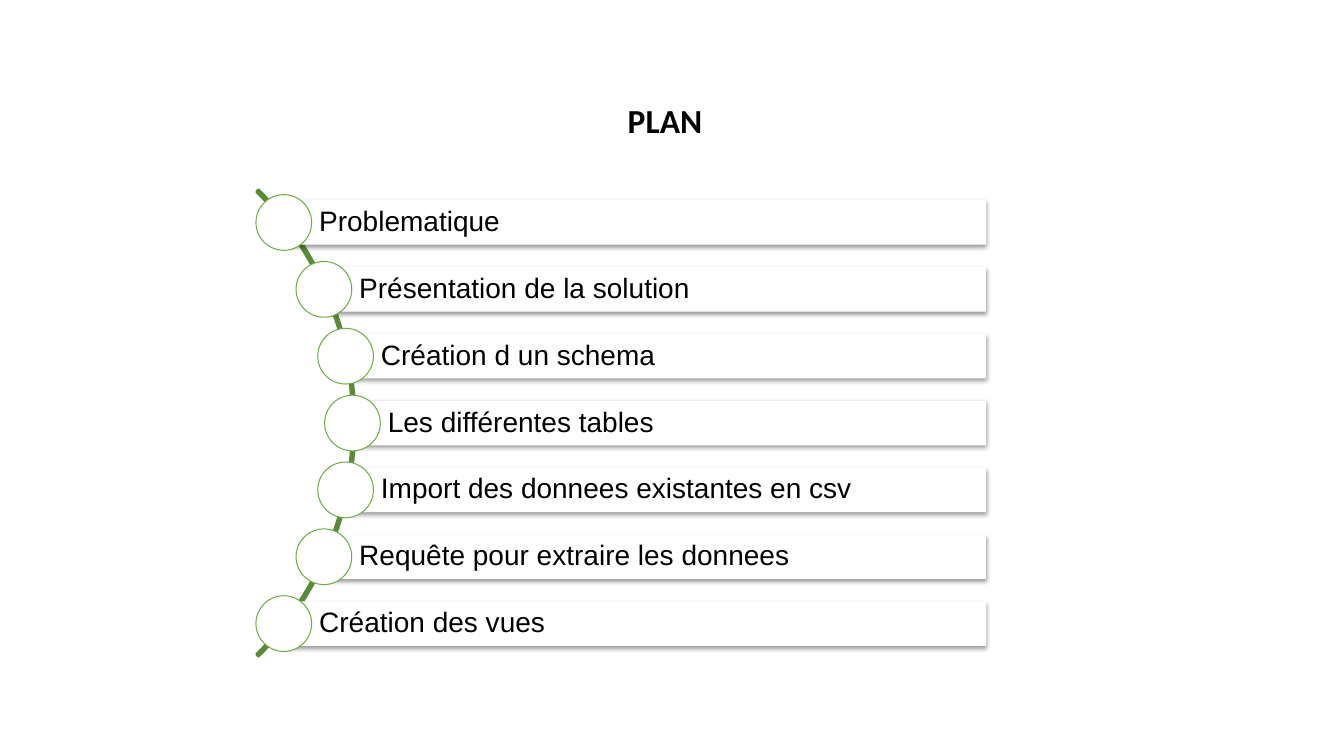
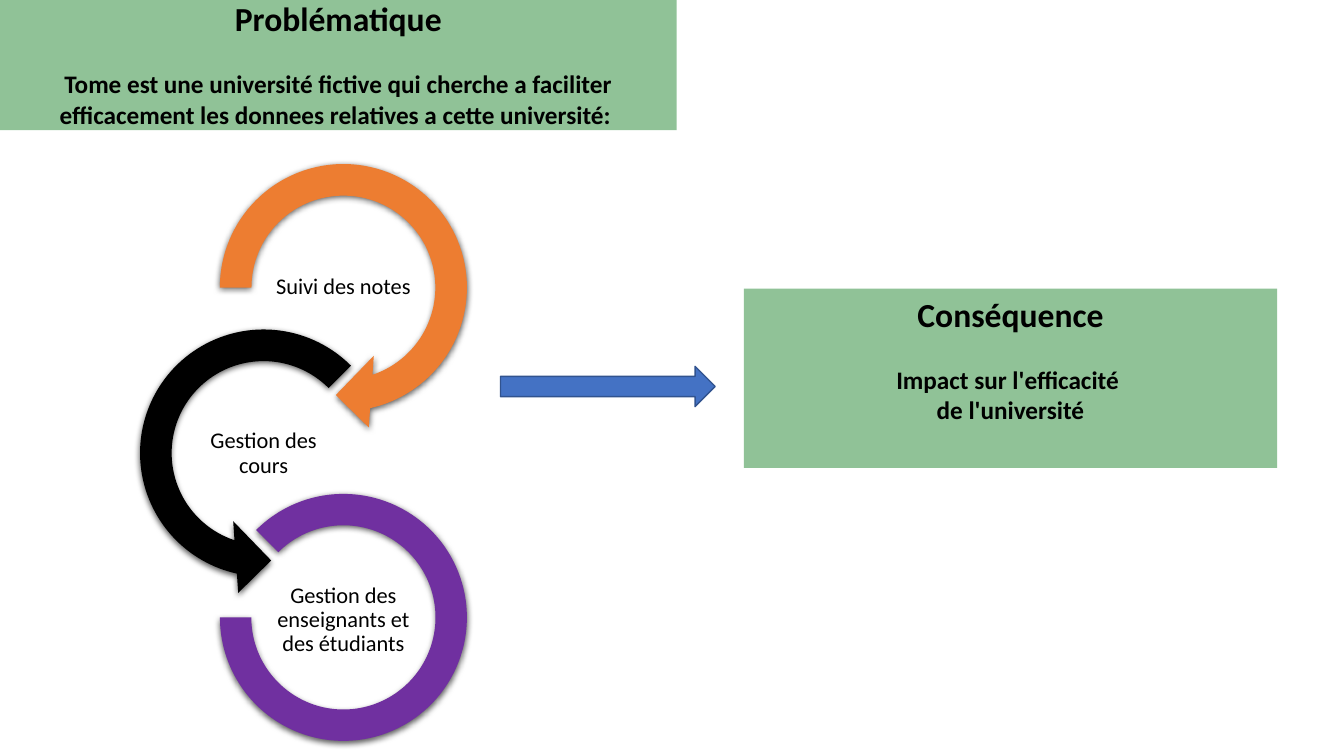
from dataclasses import dataclass
from math import sqrt

from lxml import etree
from pptx import Presentation
from pptx.dml.color import RGBColor
from pptx.enum.shapes import MSO_SHAPE
from pptx.enum.text import MSO_ANCHOR, MSO_AUTO_SIZE, PP_ALIGN
from pptx.oxml.ns import qn
from pptx.util import Pt

RECTANGLE = MSO_SHAPE.RECTANGLE
OVAL = MSO_SHAPE.OVAL
BLOCK_ARC = MSO_SHAPE.BLOCK_ARC
CIRCULAR_ARROW = MSO_SHAPE.CIRCULAR_ARROW
RIGHT_ARROW = MSO_SHAPE.RIGHT_ARROW
CENTER, LEFT = PP_ALIGN.CENTER, PP_ALIGN.LEFT
TOP, MIDDLE = MSO_ANCHOR.TOP, MSO_ANCHOR.MIDDLE
NO_AUTOFIT = MSO_AUTO_SIZE.NONE
TITLE_ONLY = 5

BLACK, WHITE = "000000", "FFFFFF"
GREEN, DARK_GREEN, PANEL_GREEN = "70AD47", "5A8B39", "359142"
ORANGE, PURPLE = "ED7D31", "7030A0"
BLUE, DARK_BLUE = "4472C4", "31538F"
PANEL_OPACITY = 55
TITLE_SIZE, PANEL_SIZE, LOOP_SIZE, AGENDA_SIZE = 24, 18, 16, 20
TITLE_END_SIZE = 44
PANEL_GAP = 21.6


@dataclass(frozen=True)
class Box:
    """A frame in points."""
    left: float
    top: float
    width: float
    height: float

    def lengths(self):
        return Pt(self.left), Pt(self.top), Pt(self.width), Pt(self.height)


@dataclass(frozen=True)
class Shadow:
    opacity: int
    blur: float
    distance: float


@dataclass(frozen=True)
class Loop:
    text: str
    color: str
    center_x: float
    center_y: float
    text_drop: float


BAR_SHADOW = Shadow(38, 3.15, 1.57)
LOOP_SHADOW = Shadow(63, 4.5, 1.5)

AGENDA = (
    "Problematique",
    "Présentation de la solution",
    "Création d un schema",
    "Les différentes tables",
    "Import des donnees existantes en csv",
    "Requête pour extraire les donnees",
    "Création des vues",
)
ARC_X, ARC_Y = 18.2, 302.2
ARC_RADIUS, RING_PATH_RADIUS = 235.5, 233.6
AGENDA_PITCH, RING_SIZE, BAR_HEIGHT, BAR_RIGHT = 47.75, 39.8, 31.8, 704.3

ARROW_SIZE, CLOSING_SIZE = 205.2, 176.4
LOOP_TEXT_WIDTH, LOOP_TEXT_HEIGHT = 114, 57
SUIVI = Loop("Suivi des notes", ORANGE, 245.3, 205.4, 0)
COURS = Loop("Gestion des cours", BLACK, 188.3, 323.6, 0.5)
PERSONNES = Loop("Gestion des enseignants et des étudiants", PURPLE, 245.3, 441, 2.2)


def rgb(color: str) -> RGBColor:
    return RGBColor.from_string(color)


def add_shadow(shape, shadow: Shadow) -> None:
    effects = shape._element.spPr.find(qn("a:effectLst"))
    outer = etree.SubElement(
        effects, qn("a:outerShdw"), blurRad=str(Pt(shadow.blur)),
        dist=str(Pt(shadow.distance)), dir="5400000", rotWithShape="0")
    color = etree.SubElement(outer, qn("a:srgbClr"), val=BLACK)
    etree.SubElement(color, qn("a:alpha"), val=str(shadow.opacity * 1000))


def paint(shape, fill: str | None, line: str | None = None,
          line_width: float = 1, shadow: Shadow | None = None) -> None:
    shape.shadow.inherit = False
    if fill:
        shape.fill.solid()
        shape.fill.fore_color.rgb = rgb(fill)
    else:
        shape.fill.background()
    if line:
        shape.line.color.rgb = rgb(line)
        shape.line.width = Pt(line_width)
    else:
        shape.line.fill.background()
    if shadow:
        add_shadow(shape, shadow)


def add_preset(slide, kind, box: Box, adjustments: tuple[float, ...] = ()):
    shape = slide.shapes.add_shape(kind, *box.lengths())
    for index, value in enumerate(adjustments):
        shape.adjustments[index] = value
    return shape


def centered_box(center_x: float, center_y: float, width: float, height: float) -> Box:
    return Box(center_x - width / 2, center_y - height / 2, width, height)


def place(shape, box: Box) -> None:
    shape.left, shape.top, shape.width, shape.height = box.lengths()


def set_insets(text_frame, left: float, top: float, right: float, bottom: float) -> None:
    text_frame.margin_left, text_frame.margin_top = Pt(left), Pt(top)
    text_frame.margin_right, text_frame.margin_bottom = Pt(right), Pt(bottom)


def prepare_frame(text_frame, text: str, anchor) -> None:
    text_frame.text = text
    text_frame.word_wrap = True
    text_frame.auto_size = NO_AUTOFIT
    text_frame.vertical_anchor = anchor


def style_paragraph(paragraph, size: float, font: str = "Calibri", bold: bool = False,
                    alignment=CENTER, spacing: float = 1) -> None:
    paragraph.alignment = alignment
    paragraph.line_spacing = spacing
    for run in paragraph.runs:
        run.font.name = font
        run.font.size = Pt(size)
        run.font.bold = bold
        run.font.color.rgb = rgb(BLACK)


def fill_panel(shape, heading: str, *lines: str) -> None:
    """Turn a shape into a translucent green panel with a heading and lines."""
    paint(shape, PANEL_GREEN)
    color = shape._element.spPr.find(qn("a:solidFill")).find(qn("a:srgbClr"))
    etree.SubElement(color, qn("a:alpha"), val=str(PANEL_OPACITY * 1000))
    text_frame = shape.text_frame
    prepare_frame(text_frame, "\n".join((heading, *lines)), TOP)
    set_insets(text_frame, 7.2, 3.6, 7.2, 3.6)
    for index, paragraph in enumerate(text_frame.paragraphs):
        style_paragraph(paragraph, PANEL_SIZE if index else TITLE_SIZE, bold=True)
    text_frame.paragraphs[1].space_before = Pt(PANEL_GAP)


def add_agenda_item(slide, text: str, offset: float) -> None:
    """Draw a bar and its ring, offset points below the middle of the arc."""
    center_x = ARC_X + sqrt(RING_PATH_RADIUS ** 2 - offset ** 2)
    center_y = ARC_Y + offset
    bar = add_preset(slide, RECTANGLE, Box(
        center_x, center_y - BAR_HEIGHT / 2, BAR_RIGHT - center_x, BAR_HEIGHT))
    paint(bar, WHITE, shadow=BAR_SHADOW)
    prepare_frame(bar.text_frame, text, MIDDLE)
    set_insets(bar.text_frame, 25.2, 4, 4, 4)
    style_paragraph(bar.text_frame.paragraphs[0], AGENDA_SIZE, "Arial",
                    alignment=LEFT, spacing=0.9)
    ring = add_preset(slide, OVAL, centered_box(center_x, center_y, RING_SIZE, RING_SIZE))
    paint(ring, WHITE, GREEN, 0.75)


def add_loop(slide, loop: Loop, kind, size: float, adjustments: tuple[float, ...],
             mirrored: bool = False) -> None:
    shape = add_preset(slide, kind, centered_box(
        loop.center_x, loop.center_y, size, size), adjustments)
    paint(shape, loop.color, shadow=LOOP_SHADOW)
    if mirrored:
        shape._element.spPr.find(qn("a:xfrm")).set("flipH", "1")
    box = centered_box(loop.center_x, loop.center_y + loop.text_drop,
                       LOOP_TEXT_WIDTH, LOOP_TEXT_HEIGHT)
    text_frame = slide.shapes.add_textbox(*box.lengths()).text_frame
    prepare_frame(text_frame, loop.text, MIDDLE)
    set_insets(text_frame, 0.8, 0.8, 0.8, 0.8)
    style_paragraph(text_frame.paragraphs[0], LOOP_SIZE, spacing=0.9)


def add_loop_arrow(slide, loop: Loop, start: float, mirrored: bool = False) -> None:
    """Draw a curved arrow; start is in the 1/100000 units of the preset's angle."""
    add_loop(slide, loop, CIRCULAR_ARROW, ARROW_SIZE,
             (0.11, 11.42, 45, start, 0.125), mirrored)


def add_slide(presentation):
    return presentation.slides.add_slide(presentation.slide_layouts[TITLE_ONLY])


def build_plan(presentation) -> None:
    slide = add_slide(presentation)
    title = slide.shapes.title
    place(title, Box(66, 28.8, 828, 104.4))
    prepare_frame(title.text_frame, "PLAN", MIDDLE)
    paragraph = title.text_frame.paragraphs[0]
    style_paragraph(paragraph, TITLE_SIZE, bold=True, spacing=0.9)
    ending = paragraph.add_run()
    ending.text = " "
    ending.font.size = Pt(TITLE_END_SIZE)
    size = 2 * ARC_RADIUS
    arc = add_preset(slide, BLOCK_ARC, centered_box(ARC_X, ARC_Y, size, size),
                     (189, 27, 0.004))
    paint(arc, None, DARK_GREEN, 2)
    middle = (len(AGENDA) - 1) / 2
    for index, text in enumerate(AGENDA):
        add_agenda_item(slide, text, (index - middle) * AGENDA_PITCH)


def build_problem(presentation) -> None:
    slide = add_slide(presentation)
    title = slide.shapes.title
    place(title, Box(0, -5, 483.3, 98))
    fill_panel(title, "Problématique",
               "Tome est une université fictive qui cherche a faciliter "
               "efficacement les donnees relatives a cette université: ")
    add_loop_arrow(slide, SUIVI, 108)
    add_loop_arrow(slide, COURS, 135, mirrored=True)
    add_loop(slide, PERSONNES, BLOCK_ARC, CLOSING_SIZE, (135, 108, 0.127))
    arrow = add_preset(slide, RIGHT_ARROW, Box(357.5, 261.7, 153.4, 28.8), (0.5, 0.5))
    paint(arrow, BLUE, DARK_BLUE)
    consequence = add_preset(slide, RECTANGLE, Box(531.3, 206.2, 381, 128))
    fill_panel(consequence, "Conséquence", "Impact sur l'efficacité ", "de l'université")


def main() -> None:
    presentation = Presentation()
    presentation.slide_width, presentation.slide_height = Pt(960), Pt(540)
    build_plan(presentation)
    build_problem(presentation)
    presentation.save("out.pptx")


if __name__ == "__main__":
    main()
